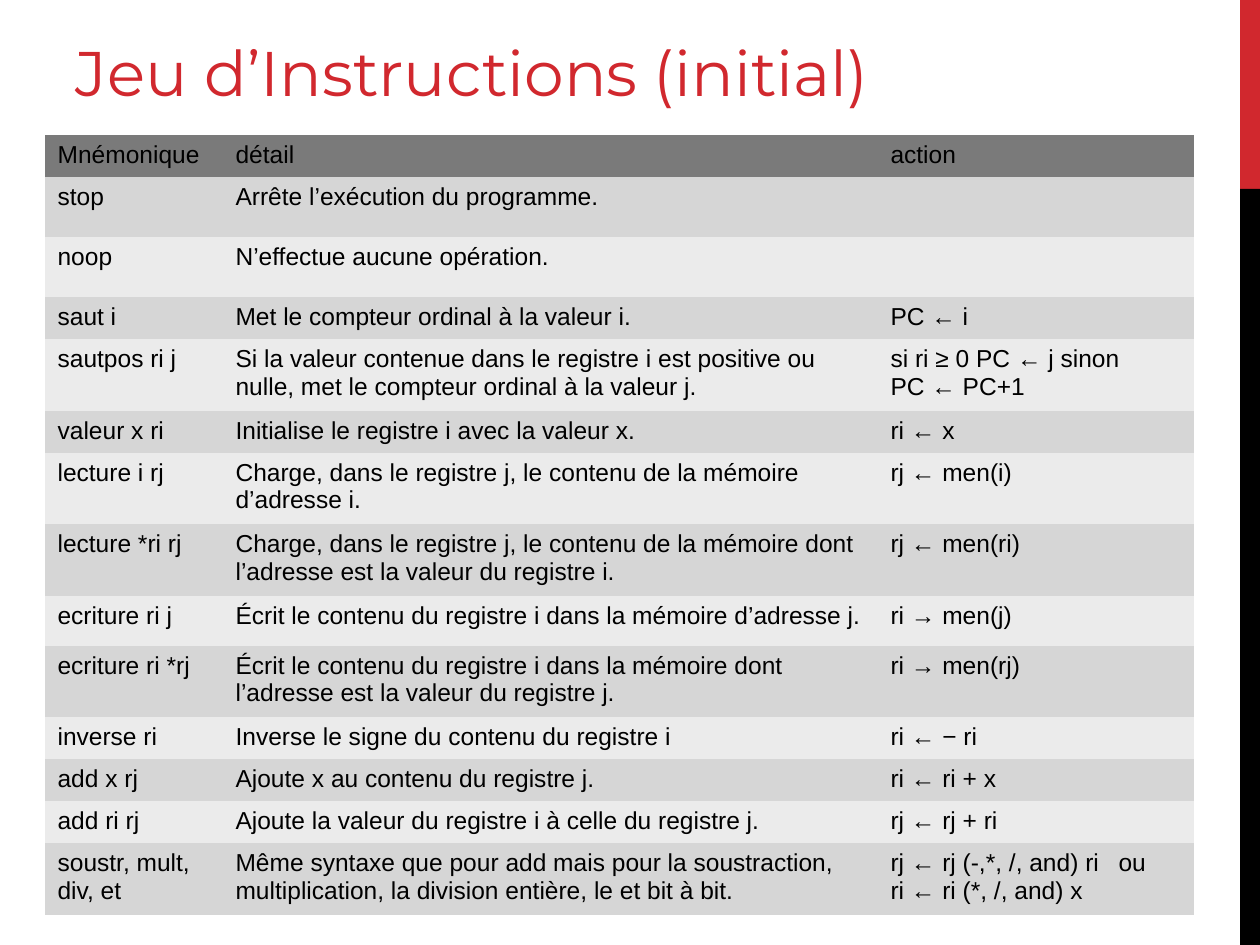
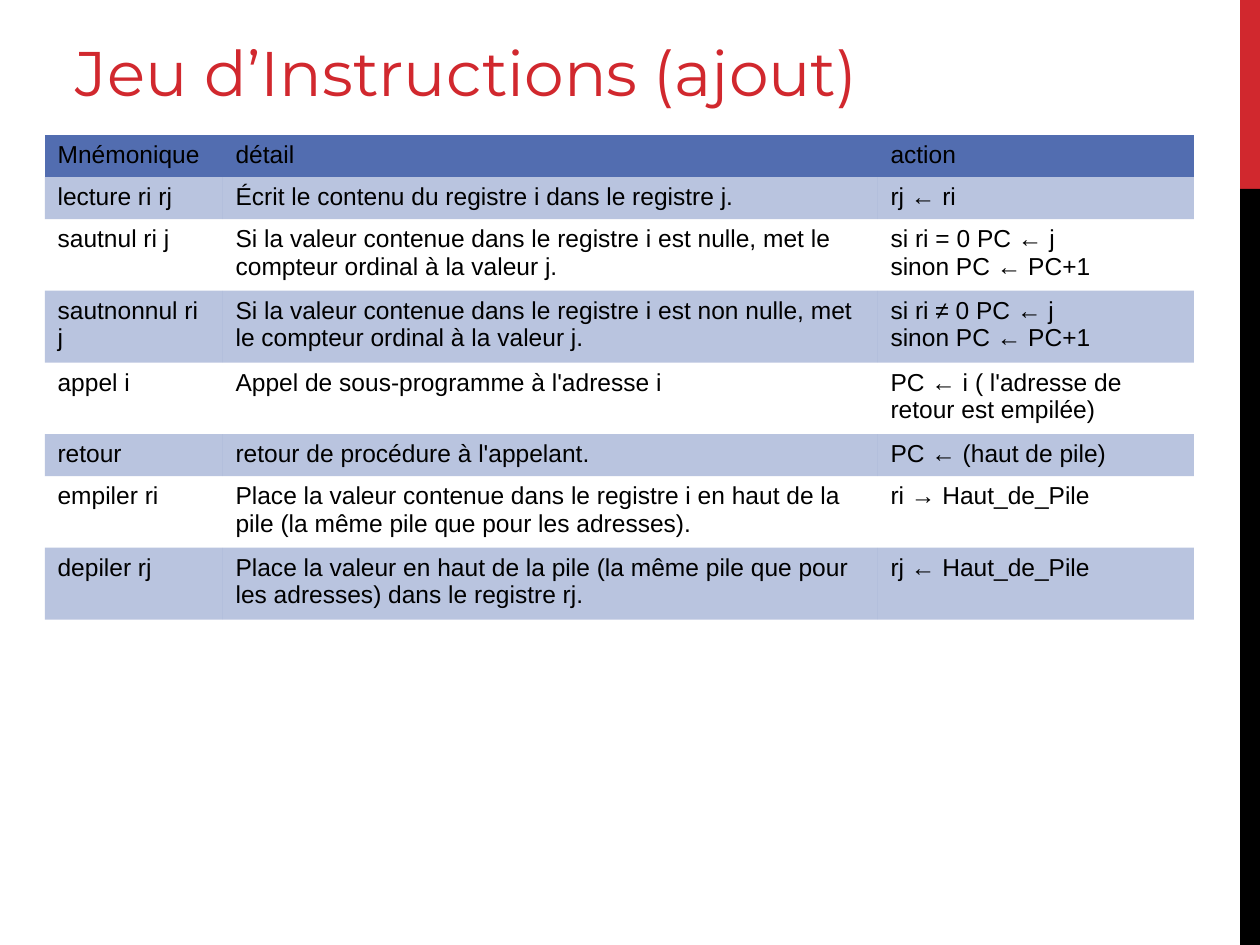
from lxml import etree
from pptx import Presentation
from pptx.dml.color import RGBColor
from pptx.enum.shapes import MSO_SHAPE
from pptx.enum.text import MSO_ANCHOR
from pptx.oxml.ns import qn
from pptx.util import Pt

RECTANGLE = MSO_SHAPE.RECTANGLE
TOP = MSO_ANCHOR.TOP

# Content: a line break separates paragraphs, a tab moves to the tab stop
HEADINGS = ("Mnémonique", "détail", "action")

INITIAL_SET = [
    ("stop", "Arrête l’exécution du programme.", ""),
    ("noop", "N’effectue aucune opération.", ""),
    ("saut i", "Met le compteur ordinal à la valeur i.", "PC ← i"),
    ("sautpos ri j",
     "Si la valeur contenue dans le registre i est positive ou nulle, "
     "met le compteur ordinal à la valeur j.",
     "si ri ≥ 0 PC ← j sinon\nPC ← PC+1"),
    ("valeur x ri", "Initialise le registre i avec la valeur x.", "ri ← x"),
    ("lecture i rj",
     "Charge, dans le registre j, le contenu de la mémoire d’adresse i.",
     "rj ← men(i)"),
    ("lecture *ri rj",
     "Charge, dans le registre j, le contenu de la mémoire dont "
     "l’adresse est la valeur du registre i.",
     "rj ← men(ri)"),
    ("ecriture ri j",
     "Écrit le contenu du registre i dans la mémoire d’adresse j.",
     "ri → men(j)"),
    ("ecriture ri *rj",
     "Écrit le contenu du registre i dans la mémoire dont "
     "l’adresse est la valeur du registre j.",
     "ri → men(rj)"),
    ("inverse ri", "Inverse le signe du contenu du registre i", "ri ← − ri"),
    ("add x rj", "Ajoute x au contenu du registre j.", "ri ← ri + x"),
    ("add ri rj", "Ajoute la valeur du registre i à celle du registre j.",
     "rj ← rj + ri"),
    ("soustr, mult, div, et",
     "Même syntaxe que pour add mais pour la soustraction, "
     "multiplication, la division entière, le et bit à bit.",
     "rj ← rj (-,*, /, and) ri\tou\nri ← ri (*, /, and) x"),
]

ADDED_SET = [
    ("lecture ri rj", "Écrit le contenu du registre i dans le registre j.",
     "rj ← ri"),
    ("sautnul ri j",
     "Si la valeur contenue dans le registre i est nulle, "
     "met le compteur ordinal à la valeur j.",
     "si ri = 0 PC ← j\nsinon PC ← PC+1"),
    ("sautnonnul ri j",
     "Si la valeur contenue dans le registre i est non nulle, "
     "met le compteur ordinal à la valeur j.",
     "si ri ≠ 0 PC ← j\nsinon PC ← PC+1"),
    ("appel i", "Appel de sous-programme à l'adresse i",
     "PC ← i ( l'adresse de retour est empilée)"),
    ("retour", "retour de procédure à l'appelant.", "PC ← (haut de pile)"),
    ("empiler ri",
     "Place la valeur contenue dans le registre i en haut de la pile "
     "(la même pile que pour les adresses).",
     "ri → Haut_de_Pile"),
    ("depiler rj",
     "Place la valeur en haut de la pile (la même pile que pour "
     "les adresses) dans le registre rj.",
     "rj ← Haut_de_Pile"),
]

# Theme: fills are (colour, opacity in percent), None leaves the cell clear
THEME = {
    "red": "D1282E",
    "black": "000000",
    "title": {"name": "Montserrat", "size": Pt(36)},
    "cell": {"name": "Arial", "size": Pt(14), "bold": False},
    "grey": {"head": ("7A7A7A", 100),
             "bands": [("D6D6D6", 100), ("EBEBEB", 100)]},
    "blue": {"head": ("526DB0", 100), "bands": [("526DB0", 40), None]},
}

SLIDES = [
    {"title": "Jeu d’Instructions (initial)", "rows": INITIAL_SET,
     "palette": "grey",
     "heights": [40, 60, 60, 40, 70, 41, 67, 68, 50, 67, 41, 40, 40, 70]},
    {"title": "Jeu d’Instructions (ajout)", "rows": ADDED_SET,
     "palette": "blue", "heights": [42, 42, 71, 72, 71, 42, 71, 72]},
]

# Layout in px
PX_PER_INCH = 126
SLIDE_SIZE = (1260, 945)
SIDE_BANDS = [((1240, 0, 20, 189), "red"), ((1240, 189, 20, 756), "black")]
TITLE_BOX = (63, 21, 1113, 95)
TITLE_INSETS = {"margin_left": 13, "margin_top": 13,
                "margin_right": 13, "margin_bottom": 6}
TABLE_ORIGIN = (45, 135)
COLUMN_WIDTHS = (178, 655, 316)
TAB_STOP = 228
PLAIN_TABLE = "{2D5ABB26-0587-4C30-8999-92F81FD0307C}"


def px(length):
    return round(length * 914400 / PX_PER_INCH)


def box(lengths):
    return [px(length) for length in lengths]


def set_all(target, values):
    for key, value in values.items():
        setattr(target, key, value)


def style_font(font, style, colour):
    set_all(font, style)
    font.color.rgb = RGBColor.from_string(colour)


def add_side_bands(slide):
    for place, colour in SIDE_BANDS:
        band = slide.shapes.add_shape(RECTANGLE, *box(place))
        band.shadow.inherit = False
        band.fill.solid()
        band.fill.fore_color.rgb = RGBColor.from_string(THEME[colour])
        band.line.fill.background()


def add_title(slide, wording):
    frame = slide.shapes.add_textbox(*box(TITLE_BOX)).text_frame
    set_all(frame, {"word_wrap": True, "vertical_anchor": TOP})
    set_all(frame, {side: px(gap) for side, gap in TITLE_INSETS.items()})
    frame.text = wording
    style_font(frame.paragraphs[0].font, THEME["title"], THEME["red"])


def fill_cell(cell, fill):
    if fill is None:
        cell.fill.background()
        return
    colour, opacity = fill
    cell.fill.solid()
    cell.fill.fore_color.rgb = RGBColor.from_string(colour)
    if opacity < 100:
        tint = next(cell.fill._xPr.iter(qn("a:srgbClr")))
        etree.SubElement(tint, qn("a:alpha"), val=str(opacity * 1000))


def write_cell(cell, wording):
    cell.text = wording
    for paragraph in cell.text_frame.paragraphs:
        if "\t" in paragraph.text:
            stops = etree.SubElement(paragraph._p.get_or_add_pPr(), qn("a:tabLst"))
            etree.SubElement(stops, qn("a:tab"), pos=str(px(TAB_STOP)), algn="l")
        style_font(paragraph.font, THEME["cell"], THEME["black"])


def add_instructions(slide, instructions, heights, palette):
    lines = [HEADINGS, *instructions]
    size = (sum(COLUMN_WIDTHS), sum(heights))
    grid = slide.shapes.add_table(len(lines), len(HEADINGS),
                                  *box(TABLE_ORIGIN + size)).table
    set_all(grid, {"first_row": False, "horz_banding": False})
    grid._tbl.tblPr.find(qn("a:tableStyleId")).text = PLAIN_TABLE
    for column, width in zip(grid.columns, COLUMN_WIDTHS):
        column.width = px(width)
    for index, (row, height, line) in enumerate(zip(grid.rows, heights, lines)):
        row.height = px(height)
        fill = palette["bands"][(index - 1) % 2] if index else palette["head"]
        for cell, wording in zip(row.cells, line):
            write_cell(cell, wording)
            fill_cell(cell, fill)


def main():
    deck = Presentation()
    deck.slide_width, deck.slide_height = box(SLIDE_SIZE)
    blank = deck.slide_layouts[6]
    for content in SLIDES:
        slide = deck.slides.add_slide(blank)
        add_side_bands(slide)
        add_title(slide, content["title"])
        add_instructions(slide, content["rows"], content["heights"],
                         THEME[content["palette"]])
    deck.save("out.pptx")


if __name__ == "__main__":
    main()
